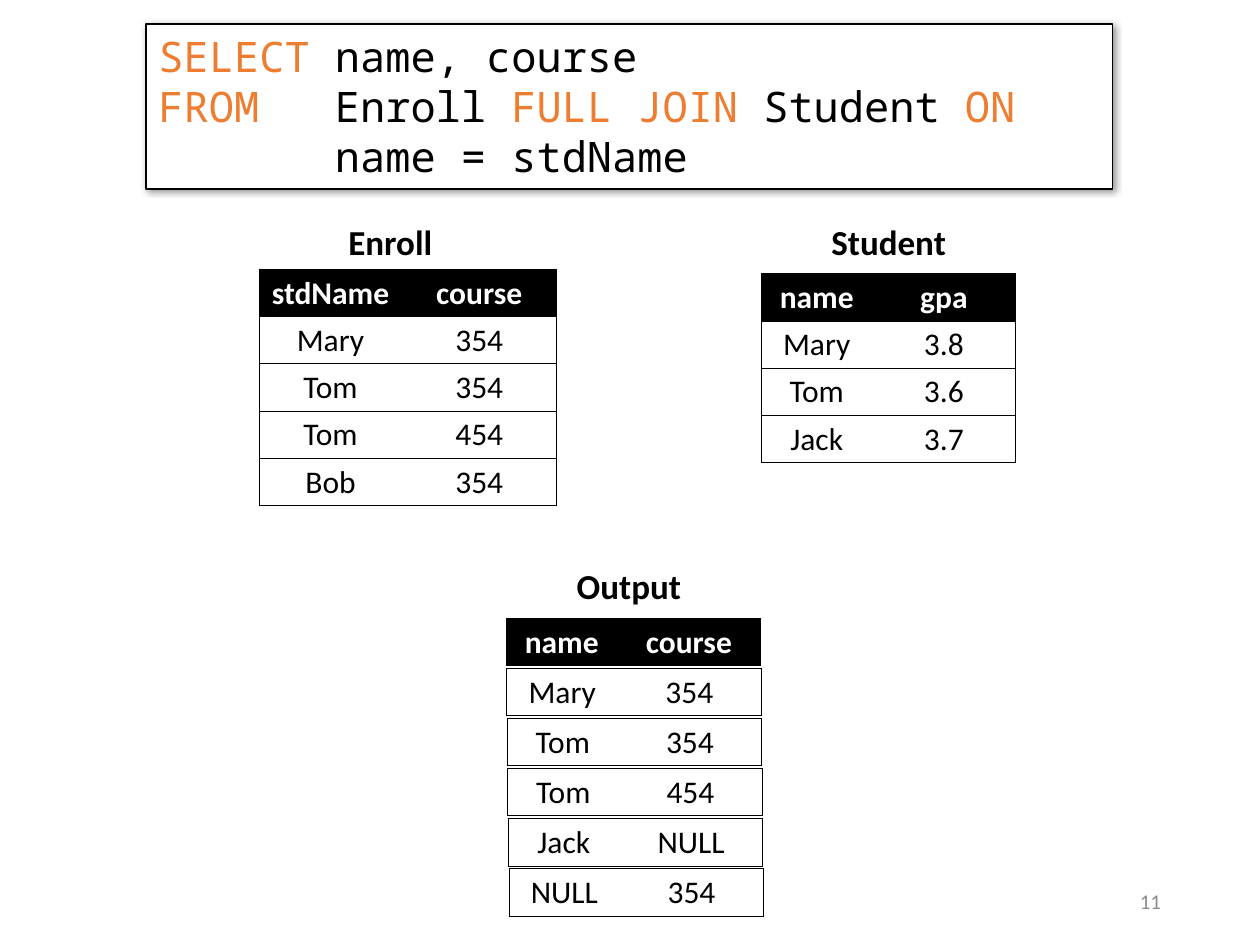
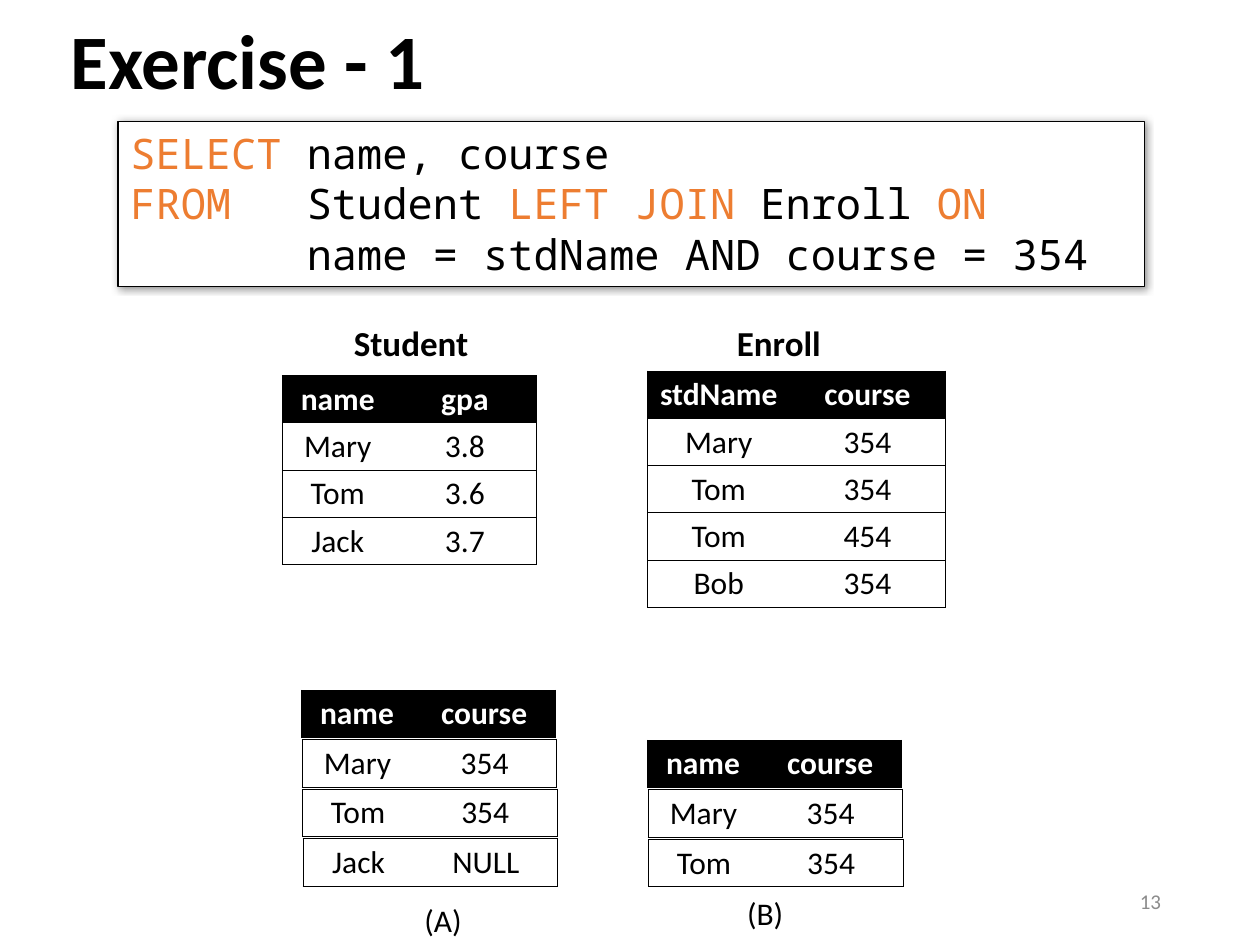
"""Build two slides on SQL outer joins, with their source and result tables."""
import lxml.etree
import pptx
import pptx.dml.color
import pptx.enum.shapes
import pptx.enum.text
import pptx.oxml
import pptx.oxml.ns
import pptx.util

Pt = pptx.util.Pt
qn = pptx.oxml.ns.qn

COLOURS = {"ink": "000000", "paper": "FFFFFF", "keyword": "ED7D31", "number": "8C8C8C"}
TEXT_FONT = "Calibri"
CODE_FONT = "Noto Sans Mono"
CODE_TAB = 100.8
ROW_HEIGHT = 27
RESULT_DRIFT = 0.3
NARROW = (63.4, 82)
WIDE = (81.4, 88.6)

ENROLL = [("stdName", "course"), ("Mary", "354"), ("Tom", "354"), ("Tom", "454"), ("Bob", "354")]
STUDENT = [("name", "gpa"), ("Mary", "3.8"), ("Tom", "3.6"), ("Jack", "3.7")]
RESULT_HEAD = ("name", "course")

SLIDES = [
    {
        "number": "11",
        "query_box": (83.5, 13.7, 552.2, 94.3),
        "query": [
            [("SELECT", "keyword"), ("\tname, course", "ink")],
            [("FROM", "keyword"), ("\tEnroll ", "ink"), ("FULL JOIN ", "keyword"),
             ("Student", "ink"), (" ON", "keyword")],
            [("\tname = stdName", "ink")],
        ],
        "sources": [(STUDENT, NARROW, 435, 156.4), (ENROLL, WIDE, 148.2, 153.9)],
        "headings": [("Student", 468, 122.7, 80.6), ("Enroll", 192, 122.7, 62.6),
                     ("Output", 322.5, 319, 74.9)],
        "results": [([RESULT_HEAD, ("Mary", "354"), ("Tom", "354"), ("Tom", "454"),
                      ("Jack", "NULL"), ("NULL", "354")], 289.3, 353.4, 28.6)],
        "choices": [],
    },
    {
        "title": "Exercise - 1",
        "number": "13",
        "query_box": (67.4, 69.3, 586.8, 94.3),
        "query": [
            [("SELECT", "keyword"), ("\tname, course", "ink")],
            [("FROM", "keyword"), ("\tStudent ", "ink"), ("LEFT JOIN ", "keyword"),
             ("Enroll", "ink"), (" ON", "keyword")],
            [("\tname = stdName AND course = 354", "ink")],
        ],
        "sources": [(STUDENT, NARROW, 161.3, 214.6), (ENROLL, WIDE, 370, 212)],
        "headings": [("Student", 195.1, 180, 80.6), ("Enroll", 414, 180, 62.6)],
        "results": [
            ([RESULT_HEAD, ("Mary", "354"), ("Tom", "354"), ("Jack", "NULL")], 172.3, 394.4, 28.3),
            ([RESULT_HEAD, ("Mary", "354"), ("Tom", "354")], 370, 423, 28.3),
        ],
        "choices": [("(A)", 235.4, 511.5, 36), ("(B)", 419.8, 507.6, 35.3)],
    },
]


def rgb(colour):
    return pptx.dml.color.RGBColor.from_string(COLOURS[colour])


def add_run(paragraph, words, size, colour="ink", bold=False, font=TEXT_FONT):
    run = paragraph.add_run()
    run.text = words
    run.font.name = font
    run.font.size = Pt(size)
    run.font.bold = bold
    run.font.color.rgb = rgb(colour)


def add_label(slide, words, left, top, width, size, bold=False):
    label = slide.shapes.add_textbox(Pt(left), Pt(top), Pt(width), Pt(size * 1.6))
    label.text_frame.word_wrap = False
    add_run(label.text_frame.paragraphs[0], words, size, bold=bold)


def add_number(slide, number):
    footer = slide.shapes.add_textbox(Pt(508.5), Pt(500.5), Pt(162), Pt(28.8)).text_frame
    footer.word_wrap = True
    footer.vertical_anchor = pptx.enum.text.MSO_ANCHOR.MIDDLE
    footer.paragraphs[0].alignment = pptx.enum.text.PP_ALIGN.RIGHT
    add_run(footer.paragraphs[0], number, 12, "number")


def add_title(slide, words):
    title = slide.shapes.title
    title.left, title.top, title.width, title.height = map(Pt, (33.1, -15.1, 620.6, 104.4))
    title.text_frame.auto_size = pptx.enum.text.MSO_AUTO_SIZE.NONE
    title.text_frame.vertical_anchor = pptx.enum.text.MSO_ANCHOR.MIDDLE
    heading = title.text_frame.paragraphs[0]
    heading.alignment = pptx.enum.text.PP_ALIGN.LEFT
    heading.line_spacing = 0.9
    add_run(heading, words, 44, bold=True)


def add_soft_shadow(shape):
    shape.shadow.inherit = False
    effects = shape._element.spPr.find(qn("a:effectLst"))
    shadow = lxml.etree.SubElement(effects, qn("a:outerShdw"), blurRad=str(Pt(4)),
                                   dist=str(Pt(1)), dir="2700000", algn="tl", rotWithShape="0")
    tint = lxml.etree.SubElement(shadow, qn("a:srgbClr"), val=COLOURS["ink"])
    lxml.etree.SubElement(tint, qn("a:alpha"), val="40000")


def add_query(slide, place, lines):
    box = slide.shapes.add_shape(pptx.enum.shapes.MSO_SHAPE.RECTANGLE, *map(Pt, place))
    box.fill.solid()
    box.fill.fore_color.rgb = rgb("paper")
    box.line.color.rgb = rgb("ink")
    box.line.width = Pt(0.75)
    add_soft_shadow(box)
    code = box.text_frame
    code.word_wrap = True
    code.vertical_anchor = pptx.enum.text.MSO_ANCHOR.TOP
    for index, line in enumerate(lines):
        paragraph = code.add_paragraph() if index else code.paragraphs[0]
        paragraph.alignment = pptx.enum.text.PP_ALIGN.LEFT
        tabs = lxml.etree.SubElement(paragraph._p.get_or_add_pPr(), qn("a:tabLst"))
        lxml.etree.SubElement(tabs, qn("a:tab"), pos=str(Pt(CODE_TAB)), algn="l")
        for words, colour in line:
            add_run(paragraph, words, 24, colour, font=CODE_FONT)


def add_borders(cell, ruled_sides):
    properties = cell._tc.get_or_add_tcPr()
    for position, side in enumerate(("L", "R", "T", "B")):
        border = pptx.oxml.parse_xml(
            f'<a:ln{side} xmlns:a="http://schemas.openxmlformats.org/drawingml/2006/main" '
            f'w="{Pt(0.5)}"/>')
        if side in ruled_sides:
            fill = lxml.etree.SubElement(border, qn("a:solidFill"))
            lxml.etree.SubElement(fill, qn("a:srgbClr"), val=COLOURS["ink"])
        else:
            lxml.etree.SubElement(border, qn("a:noFill"))
        properties.insert(position, border)


def add_relation(slide, rows, widths, left, top, headed=True):
    table = slide.shapes.add_table(len(rows), len(widths), Pt(left), Pt(top),
                                   Pt(sum(widths)), Pt(ROW_HEIGHT * len(rows))).table
    table.first_row = table.horz_banding = False
    for column, width in zip(table.columns, widths):
        column.width = Pt(width)
    for r, values in enumerate(rows):
        table.rows[r].height = Pt(ROW_HEIGHT)
        header = headed and r == 0
        for c, value in enumerate(values):
            cell = table.cell(r, c)
            cell.margin_left = cell.margin_right = Pt(5.4)
            cell.margin_top = cell.margin_bottom = Pt(2.7)
            cell.fill.solid()
            cell.fill.fore_color.rgb = rgb("ink" if header else "paper")
            add_borders(cell, "TB" + ("L" if c == 0 else "R"))
            paragraph = cell.text_frame.paragraphs[0]
            paragraph.alignment = pptx.enum.text.PP_ALIGN.CENTER
            add_run(paragraph, value, 18, "paper" if header else "ink", header)


def add_result(slide, rows, left, top, pitch):
    for index, row in enumerate(rows):
        add_relation(slide, [row], NARROW, left + index * RESULT_DRIFT,
                     top + index * pitch, headed=index == 0)


def main():
    deck = pptx.Presentation()
    deck.slide_width, deck.slide_height = Pt(720), Pt(540)
    for content in SLIDES:
        layout = deck.slide_layouts[5 if "title" in content else 6]
        slide = deck.slides.add_slide(layout)
        if "title" in content:
            add_title(slide, content["title"])
        add_number(slide, content["number"])
        add_query(slide, content["query_box"], content["query"])
        for source in content["sources"]:
            add_relation(slide, *source)
        for heading in content["headings"]:
            add_label(slide, *heading, size=20, bold=True)
        for result in content["results"]:
            add_result(slide, *result)
        for choice in content["choices"]:
            add_label(slide, *choice, size=18)
    deck.save("out.pptx")


if __name__ == "__main__":
    main()
